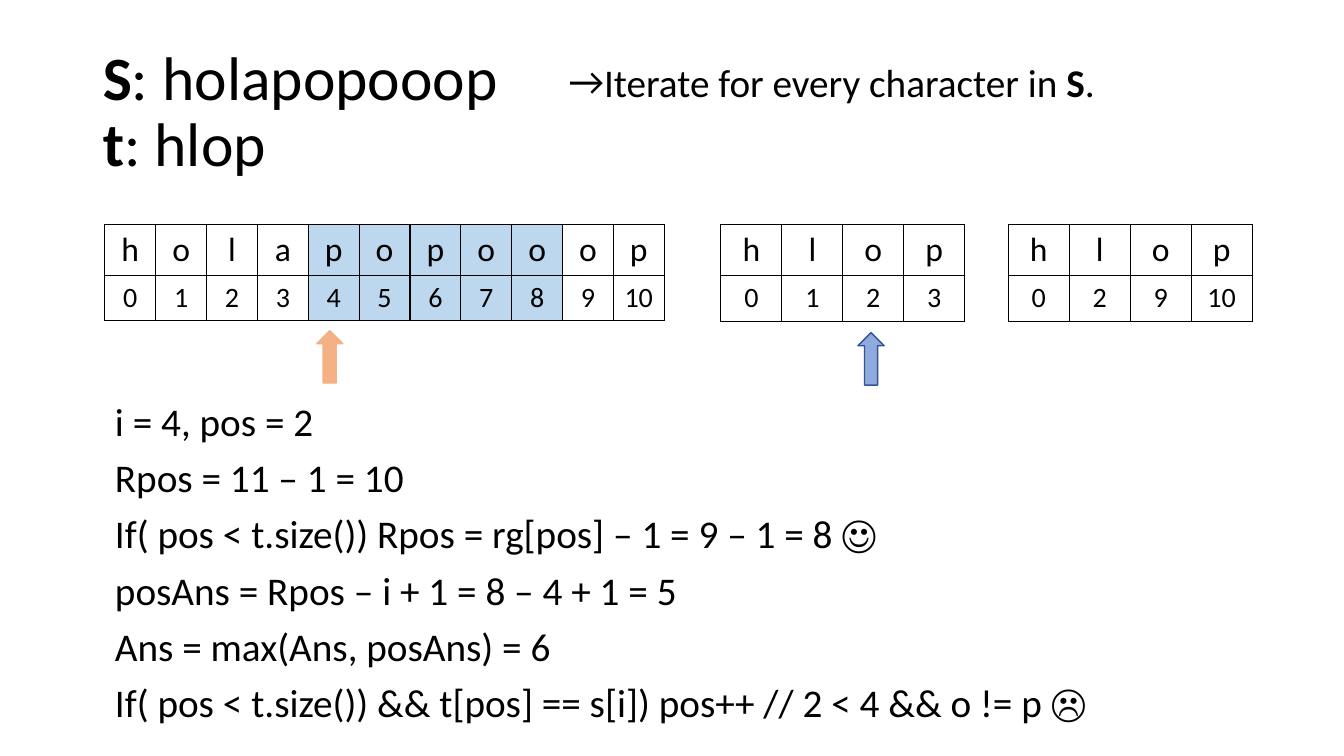
from lxml import etree
from pptx import Presentation
from pptx.dml.color import RGBColor
from pptx.enum.shapes import MSO_SHAPE
from pptx.enum.text import MSO_ANCHOR, MSO_AUTO_SIZE, PP_ALIGN
from pptx.oxml.ns import qn
from pptx.util import Emu, Pt

RIGHT_ARROW = MSO_SHAPE.RIGHT_ARROW
TOP, MIDDLE = MSO_ANCHOR.TOP, MSO_ANCHOR.MIDDLE
NO_AUTOFIT = MSO_AUTO_SIZE.NONE
LEFT, CENTER = PP_ALIGN.LEFT, PP_ALIGN.CENTER

EMU_PER_PX = 9144
FONT = "Calibri"
COLORS = {
    "text": "000000",
    "border": "000000",
    "window": "BDD7EE",
    "orange": "F4B183",
    "blue": "8FAADC",
    "blue_line": "2F5597",
}
STEPS = [
    "i = 4, pos = 2",
    "Rpos = 11 – 1 = 10",
    "If( pos < t.size()) Rpos = rg[pos] – 1 = 9 – 1 = 8 ☺",
    "posAns = Rpos – i + 1 = 8 – 4 + 1 = 5",
    "Ans = max(Ans, posAns) = 6",
    "If( pos < t.size()) && t[pos] == s[i]) pos++ // 2 < 4 && o != p ☹",
]


def px(n):
    return Emu(n * EMU_PER_PX)


def color(name):
    return RGBColor.from_string(COLORS[name])


def style_run(r, size, bold=False):
    r.font.name = FONT
    r.font.size = Pt(size)
    r.font.bold = bold
    r.font.color.rgb = color("text")


def add_run(p, text, size, bold=False):
    r = p.add_run()
    r.text = text
    style_run(r, size, bold)


def place(sp, x, y, w, h, anchor):
    sp.left, sp.top, sp.width, sp.height = px(x), px(y), px(w), px(h)
    tf = sp.text_frame
    tf.word_wrap = True
    tf.auto_size = NO_AUTOFIT
    tf.vertical_anchor = anchor
    return tf


def format_paragraph(p, before=0):
    p.alignment = LEFT
    p.line_spacing = 0.9
    p.space_before = Pt(before)
    p.space_after = Pt(0)


def set_bullet(p, char=None, indent=0):
    pPr = p._p.get_or_add_pPr()
    pPr.set("marL", str(px(indent)))
    pPr.set("indent", str(-px(indent)))
    if char:
        etree.SubElement(pPr, qn("a:buFont"), typeface=FONT)
        etree.SubElement(pPr, qn("a:buChar"), char=char)
    else:
        etree.SubElement(pPr, qn("a:buNone"))


def fill_title(sp):
    p = place(sp, 92, 40, 1150, 145, MIDDLE).paragraphs[0]
    format_paragraph(p)
    add_run(p, "S", 44, True)
    add_run(p, ": holapopooop", 44)
    p.add_line_break()
    add_run(p, "t", 44, True)
    add_run(p, ": hlop", 44)


def fill_hint(sp):
    p = place(sp, 554, 58, 553, 59, TOP).paragraphs[0]
    format_paragraph(p, before=10)
    set_bullet(p, "→", 25)
    add_run(p, "Iterate for every character in ", 28)
    add_run(p, "S", 28, True)
    add_run(p, ".", 28)


def fill_steps(sp):
    tf = place(sp, 104, 394, 1004, 335, TOP)
    tf.text = "\n".join(STEPS)
    for p in tf.paragraphs:
        format_paragraph(p, before=10)
        set_bullet(p)
        style_run(p.runs[0], 28)


def set_borders(cell):
    tcPr = cell._tc.get_or_add_tcPr()
    for side in ("lnL", "lnR", "lnT", "lnB"):
        ln = etree.SubElement(tcPr, qn("a:" + side), w=str(Pt(1)))
        fill = etree.SubElement(ln, qn("a:solidFill"))
        etree.SubElement(fill, qn("a:srgbClr"), val=COLORS["border"])


def add_index_table(s, x, width, heights, letters, indexes, window=()):
    frame = s.shapes.add_table(2, len(letters), px(x), px(223), px(width), px(sum(heights)))
    table = frame.table
    table.first_row = table.horz_banding = False
    for col in table.columns:
        col.width = px(width) // len(letters)
    for row, height, values, size in zip(table.rows, heights, (letters, indexes), (24, 20)):
        row.height = px(height)
        for i, (cell, value) in enumerate(zip(row.cells, values)):
            set_borders(cell)
            if i in window:
                cell.fill.solid()
                cell.fill.fore_color.rgb = color("window")
            else:
                cell.fill.background()
            cell.text_frame.text = str(value)
            p = cell.text_frame.paragraphs[0]
            p.alignment = CENTER
            style_run(p.runs[0], size)


def add_up_arrow(s, x, y, fill, line):
    sp = s.shapes.add_shape(RIGHT_ARROW, px(x), px(y), px(52), px(26))
    sp.rotation = 270
    sp.shadow.inherit = False
    sp.fill.solid()
    sp.fill.fore_color.rgb = color(fill)
    sp.line.color.rgb = color(line)
    sp.line.width = Pt(1)


def main():
    prs = Presentation()
    prs.slide_width, prs.slide_height = px(1333), px(750)
    s = prs.slides.add_slide(prs.slide_layouts[3])
    title, hint, steps = s.placeholders
    fill_title(title)
    fill_hint(hint)
    add_index_table(s, 104, 555, (43, 43), "holapopooop", range(11), range(4, 9))
    add_index_table(s, 715, 242, (48, 45), "hlop", range(4))
    add_index_table(s, 1000, 242, (48, 45), "hlop", (0, 2, 9, 10))
    add_up_arrow(s, 301, 341, "orange", "orange")
    add_up_arrow(s, 838, 343, "blue", "blue_line")
    fill_steps(steps)
    prs.save("out.pptx")


if __name__ == "__main__":
    main()
